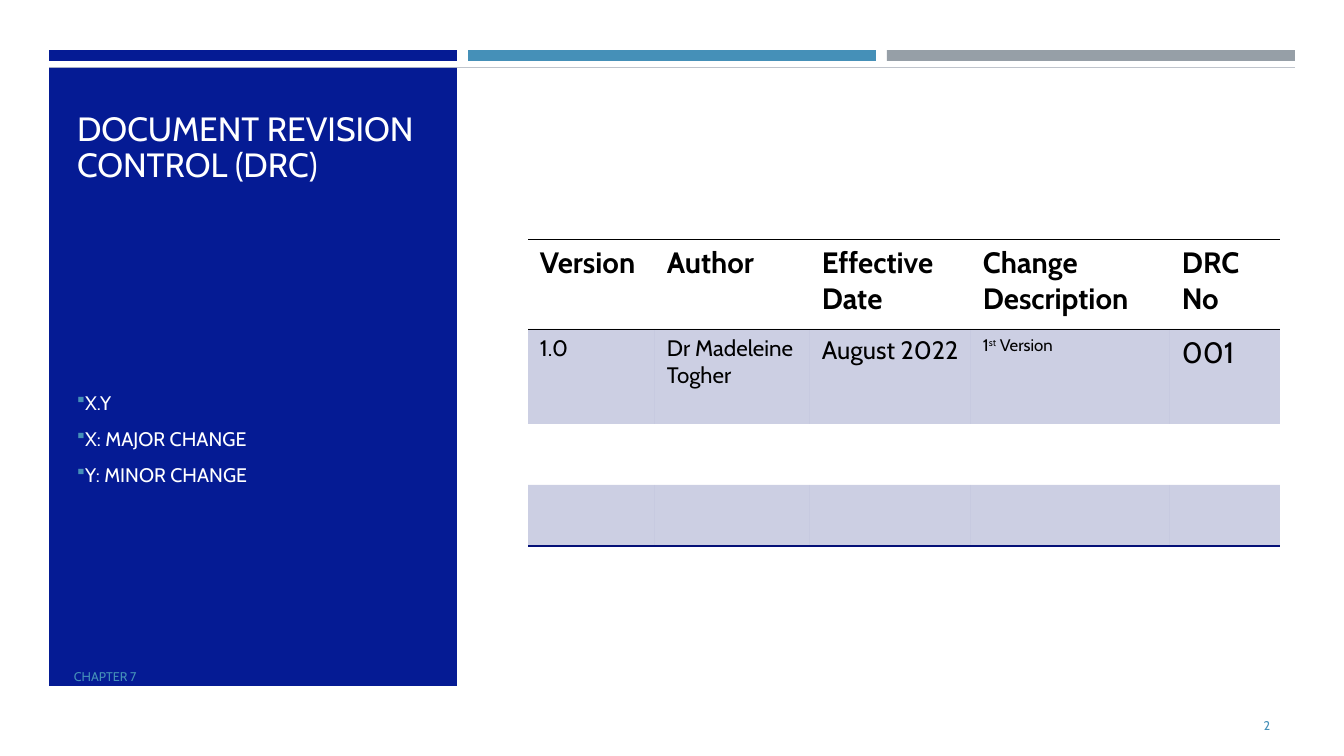
from pptx import Presentation
from pptx.dml.color import RGBColor
from pptx.enum.shapes import MSO_CONNECTOR, MSO_SHAPE
from pptx.enum.text import MSO_ANCHOR, MSO_AUTO_SIZE, PP_ALIGN
from pptx.oxml.ns import qn
from pptx.util import Pt
from lxml.etree import SubElement

PX = 914400 / 100.8
FONT = "Cabin"
COLORS = {
    "navy": "051B94", "blue": "4590B8", "grey": "969FA7", "hairline": "BFC4CC",
    "white": "FFFFFF", "black": "000000", "table": "041077",
}
NO_TABLE_STYLE = "{2D5ABB26-0587-4C30-8999-92F81FD0307C}"
HEADER = ["Version", "Author", "Effective Date", "Change Description", "DRC No"]
# Each entry: text parts (the second one raised) and size
REVISION = [(["1.0"], 16), (["Dr Madeleine Togher"], 16), (["August 2022"], 18),
            (["1", "st", " Version"], 12), (["001"], 21)]


def px(value):
    return round(value * PX)


def color(name):
    return RGBColor.from_string(COLORS[name])


def format_run(run, size, color_name, bold=False):
    run.font.name = FONT
    run.font.size = Pt(size)
    run.font.bold = bold
    run.font.color.rgb = color(color_name)


def add_block(slide, box, color_name):
    shape = slide.shapes.add_shape(MSO_SHAPE.RECTANGLE, *map(px, box))
    shape.shadow.inherit = False
    shape.fill.solid()
    shape.fill.fore_color.rgb = color(color_name)
    shape.line.fill.background()
    return shape


def add_text(slide, box, lines, size, color_name):
    frame = slide.shapes.add_textbox(*map(px, box)).text_frame
    frame.word_wrap = True
    frame.vertical_anchor = MSO_ANCHOR.MIDDLE
    frame.text = "\n".join(lines)
    for paragraph in frame.paragraphs:
        format_run(paragraph.runs[0], size, color_name)
    return frame


def add_top_bars(slide, box):
    left, top, width, height = box
    gap = 11
    bar_width = (width - 2 * gap) / 3
    for index, name in enumerate(["navy", "blue", "grey"]):
        add_block(slide, (left + index * (bar_width + gap), top, bar_width, height), name)
    # Hairline under the bars
    line_y = top + height + 6
    line = slide.shapes.add_connector(
        MSO_CONNECTOR.STRAIGHT, px(left), px(line_y), px(left + width), px(line_y))
    line.line.color.rgb = color("hairline")
    line.line.width = Pt(0.5)
    SubElement(line._element.spPr, qn("a:effectLst"))


def add_bullet(paragraph):
    paragraph.space_before = Pt(2.8)
    paragraph.space_after = Pt(6)
    properties = paragraph._p.get_or_add_pPr()
    properties.set("marL", "0")
    properties.set("indent", "0")
    bullet_color = SubElement(properties, qn("a:buClr"))
    SubElement(bullet_color, qn("a:srgbClr"), val=COLORS["blue"])
    SubElement(properties, qn("a:buSzPct"), val="92000")
    SubElement(properties, qn("a:buFont"), typeface="Wingdings", charset="2")
    SubElement(properties, qn("a:buChar"), char="§")


def add_side_panel(slide, box):
    left, top, width, height = box
    panel = add_block(slide, box, "navy")
    # Title, in front of the panel
    title = slide.shapes.title
    panel._element.addnext(title._element)
    title.left, title.top, title.width, title.height = map(
        px, (left + 18, top + 10, 376, 112))
    frame = title.text_frame
    frame.text = "DOCUMENT REVISION CONTROL (DRC)"
    frame.word_wrap = True
    frame.auto_size = MSO_AUTO_SIZE.NONE
    frame.vertical_anchor = MSO_ANCHOR.BOTTOM
    paragraph = frame.paragraphs[0]
    paragraph.alignment = PP_ALIGN.LEFT
    paragraph.line_spacing = 0.9
    format_run(paragraph.runs[0], 24, "white")
    # Numbering key
    key = add_text(slide, (left + 18, top + 148, 376, 445),
                   ["X.Y", "X: MAJOR CHANGE", "Y: MINOR CHANGE"], 14, "white")
    for paragraph in key.paragraphs:
        add_bullet(paragraph)
    # Chapter label
    add_text(slide, (left + 15, top + height - 29, width - 30, 40),
             ["CHAPTER 7"], 9, "blue")


def add_cell_border(cell, side, color_name, width):
    border = SubElement(cell._tc.get_or_add_tcPr(), qn(f"a:{side}"), w=str(Pt(width)))
    fill = SubElement(border, qn("a:solidFill"))
    SubElement(fill, qn("a:srgbClr"), val=COLORS[color_name])


def format_cell(cell, row):
    cell.margin_left = cell.margin_right = px(12)
    cell.margin_top = cell.margin_bottom = px(6)
    if row == 0:
        add_cell_border(cell, "lnT", "black", 0.5)
        add_cell_border(cell, "lnB", "black", 0.5)
    elif row == 3:
        add_cell_border(cell, "lnB", "table", 1)
    if row % 2:
        cell.fill.solid()
        cell.fill.fore_color.rgb = color("table")
        tint = cell._tc.tcPr.find(qn("a:solidFill")).find(qn("a:srgbClr"))
        SubElement(tint, qn("a:alpha"), val="20000")
    else:
        cell.fill.background()


def fill_cell(cell, parts, size, bold=False):
    paragraph = cell.text_frame.paragraphs[0]
    for index, part in enumerate(parts):
        run = paragraph.add_run()
        run.text = part
        format_run(run, size, "black", bold)
        if index == 1:
            run.font._element.set("baseline", "30000")


def add_revision_table(slide, box):
    column_widths = [127, 155, 161, 199, 110]
    row_heights = [90, 95, 61, 61]
    table = slide.shapes.add_table(
        len(row_heights), len(column_widths), *map(px, box)).table
    table.horz_banding = False
    table._tbl.tblPr.find(qn("a:tableStyleId")).text = NO_TABLE_STYLE
    for column, width in zip(table.columns, column_widths):
        column.width = px(width)
    for index, (row, height) in enumerate(zip(table.rows, row_heights)):
        row.height = px(height)
        for cell in row.cells:
            format_cell(cell, index)
    for column, (heading, (parts, size)) in enumerate(zip(HEADER, REVISION)):
        fill_cell(table.cell(0, column), [heading], 21, bold=True)
        fill_cell(table.cell(1, column), parts, size)


def add_page_number(slide, box):
    frame = add_text(slide, box, ["2"], 9, "blue")
    frame.paragraphs[0].alignment = PP_ALIGN.RIGHT
    frame.paragraphs[0].space_after = Pt(6)


def main():
    presentation = Presentation()
    presentation.slide_width = px(1344)
    presentation.slide_height = px(756)
    slide = presentation.slides.add_slide(presentation.slide_layouts[5])
    add_top_bars(slide, (49, 50, 1246, 11))
    add_side_panel(slide, (49, 68, 408, 618))
    add_revision_table(slide, (528, 239, 752, 307))
    add_page_number(slide, (1164, 706, 116, 40))
    presentation.save("out.pptx")


if __name__ == "__main__":
    main()
